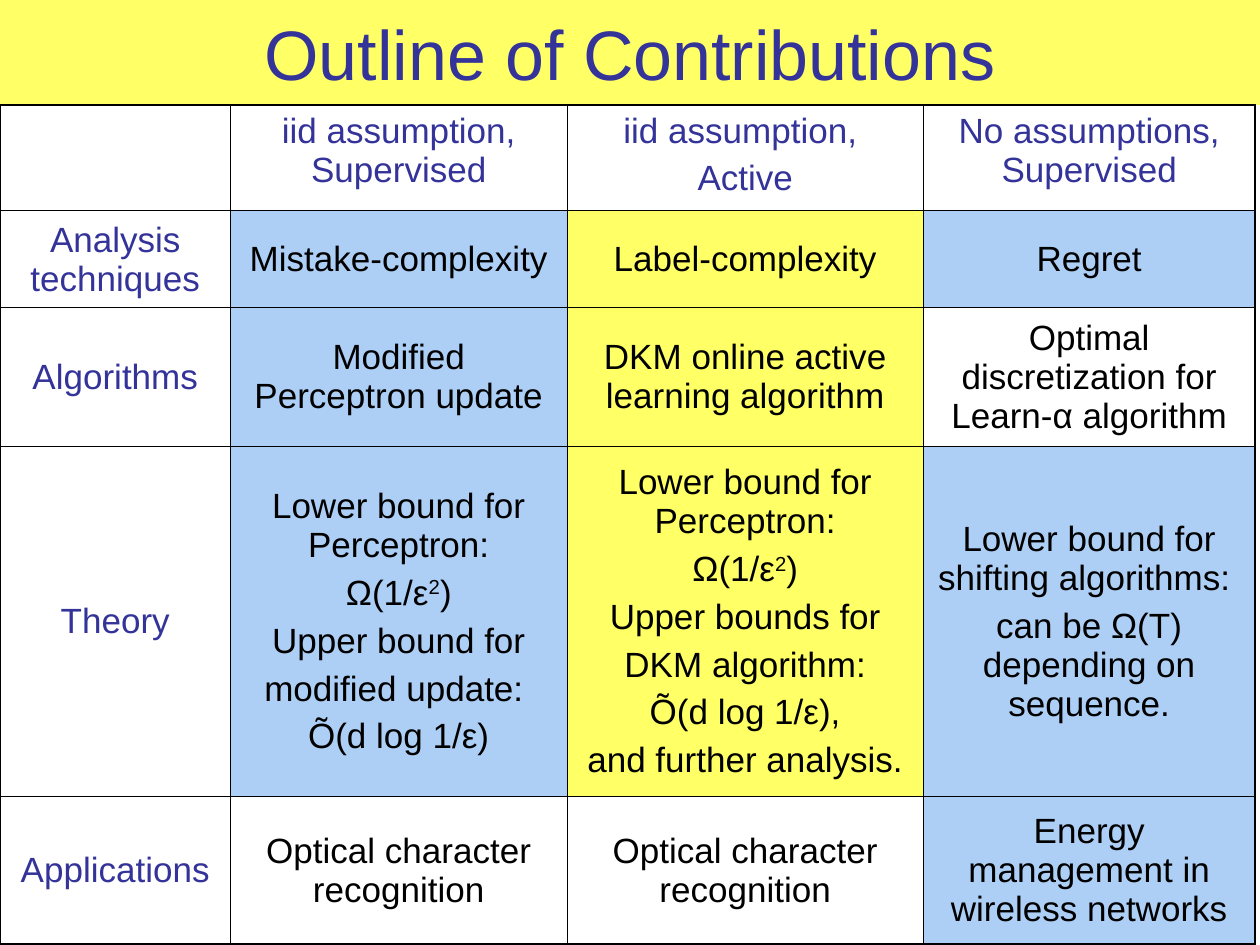
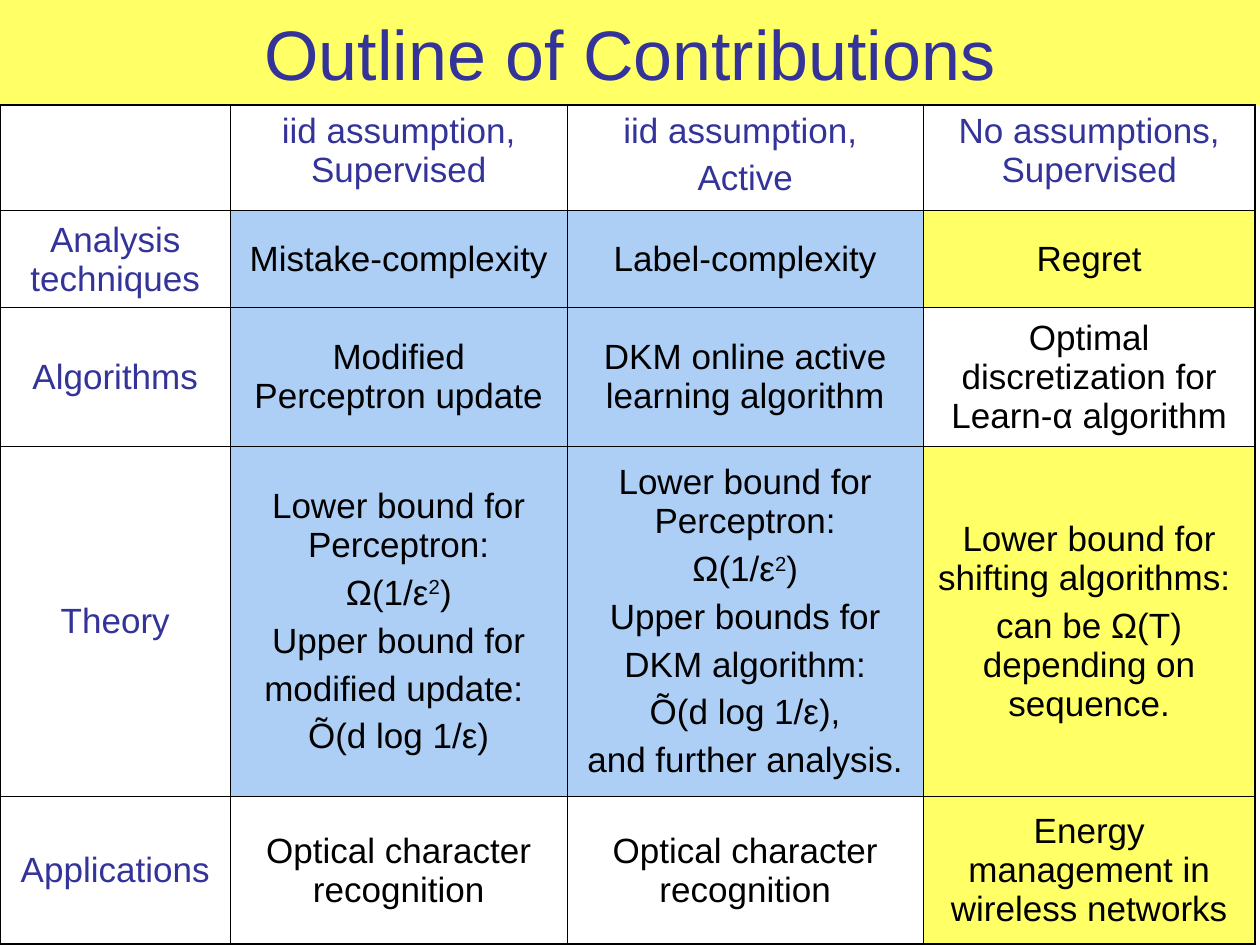
from lxml import etree
from pptx import Presentation
from pptx import util as u
from pptx.dml.color import RGBColor
from pptx.enum import shapes, text
from pptx.oxml.ns import qn

WIDTH, HEIGHT = 10, 7.5
TITLE_HEIGHT = HEIGHT / 9
NAVY, BLACK, YELLOW, BLUE = "333399", "000000", "FFFF66", "ADCFF6"
THIN, THICK = 0.45, 1.08
COLUMNS = [1.83, 2.67, 2.83, 2.63]
ROWS = [0.84, 0.77, 1.1, 2.78, 1.17]
OUTLINE = [
    ["", "iid assumption, Supervised", "iid assumption, \nActive", "No assumptions, Supervised"],
    ["Analysis techniques", "Mistake-complexity", "Label-complexity", "Regret"],
    ["Algorithms", "Modified Perceptron update", "DKM online active learning algorithm",
     "Optimal discretization for Learn-α algorithm"],
    ["Theory",
     "Lower bound for Perceptron:\nΩ(1/ε^2^)\nUpper bound for\nmodified update: \nÕ(d log 1/ε)",
     "Lower bound for Perceptron:\nΩ(1/ε^2^)\nUpper bounds for\nDKM algorithm:\n"
     "Õ(d log 1/ε),\nand further analysis.",
     "Lower bound for shifting algorithms: \ncan be Ω(T) depending on sequence."],
    ["Applications", "Optical character recognition", "Optical character recognition",
     "Energy management in wireless networks"],
]
CONTRIBUTED_ROWS = {1: (1, 2, 3), 2: (1, 2, 3), 3: (1, 3, 4)}


def color(value):
    return RGBColor.from_string(value)


def write(frame, content, size=20, fill=BLACK, space=5):
    for index, line in enumerate(content.split("\n")):
        paragraph = frame.add_paragraph() if index else frame.paragraphs[0]
        paragraph.alignment = text.PP_ALIGN.CENTER
        if index:
            paragraph.space_before = u.Pt(space)
        for position, part in enumerate(line.split("^")):
            run = paragraph.add_run()
            run.text = part
            run.font.name = "Arial"
            run.font.size = u.Pt(size)
            run.font.color.rgb = color(fill)
            if position % 2:
                run._r.get_or_add_rPr().set("baseline", "30000")


def draw_borders(cell, row, column):
    outer = {"lnL": column == 0, "lnR": column == len(COLUMNS) - 1,
             "lnT": row == 0, "lnB": row == len(ROWS) - 1}
    properties = cell._tc.get_or_add_tcPr()
    for side, is_outer in outer.items():
        width = u.Pt(THICK if is_outer else THIN)
        line = etree.SubElement(properties, qn(f"a:{side}"), w=str(int(width)))
        solid = etree.SubElement(line, qn("a:solidFill"))
        etree.SubElement(solid, qn("a:srgbClr"), val=BLACK)


def add_title(slide, left, top, width, height):
    band = slide.shapes.add_shape(shapes.MSO_SHAPE.RECTANGLE, *map(u.Inches, (left, top, width, height)))
    band.shadow.inherit = False
    band.fill.solid()
    band.fill.fore_color.rgb = color(YELLOW)
    band.line.fill.background()
    band.text_frame.word_wrap = True
    band.text_frame.vertical_anchor = text.MSO_ANCHOR.MIDDLE
    write(band.text_frame, "Outline of Contributions", size=40, fill=NAVY)


def add_outline(slide, left, top, highlighted):
    frame = slide.shapes.add_table(len(ROWS), len(COLUMNS), u.Inches(left), u.Inches(top),
                                   u.Inches(sum(COLUMNS)), u.Inches(sum(ROWS)))
    table = frame.table
    table.first_row = table.horz_banding = False
    for column, width in zip(table.columns, COLUMNS):
        column.width = u.Inches(width)
    for row, height in zip(table.rows, ROWS):
        row.height = u.Inches(height)
    for row, entries in enumerate(OUTLINE):
        for column, entry in enumerate(entries):
            cell = table.cell(row, column)
            draw_borders(cell, row, column)
            if row in CONTRIBUTED_ROWS.get(column, ()):
                cell.fill.solid()
                cell.fill.fore_color.rgb = color(YELLOW if column == highlighted else BLUE)
            else:
                cell.fill.background()
            if row:
                cell.vertical_anchor = text.MSO_ANCHOR.MIDDLE
            if entry:
                write(cell.text_frame, entry, fill=BLACK if row and column else NAVY)


def add_outline_slide(presentation, highlighted):
    slide = presentation.slides.add_slide(presentation.slide_layouts[6])
    add_title(slide, 0, 0, WIDTH, TITLE_HEIGHT)
    add_outline(slide, 0, TITLE_HEIGHT, highlighted)


def main():
    presentation = Presentation()
    presentation.slide_width = u.Inches(WIDTH)
    presentation.slide_height = u.Inches(HEIGHT)
    for highlighted in (2, 3):
        add_outline_slide(presentation, highlighted)
    presentation.save("out.pptx")


if __name__ == "__main__":
    main()
